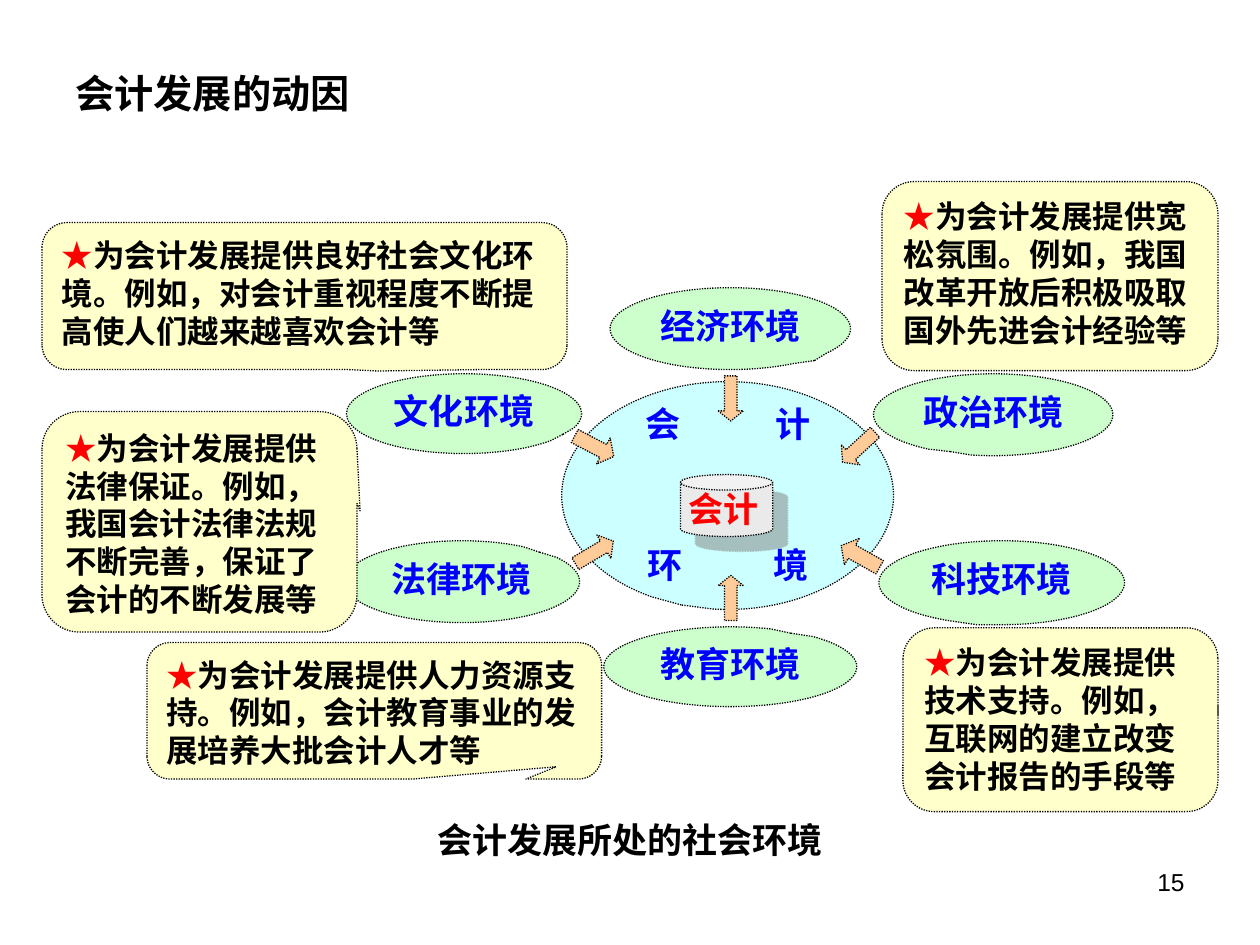
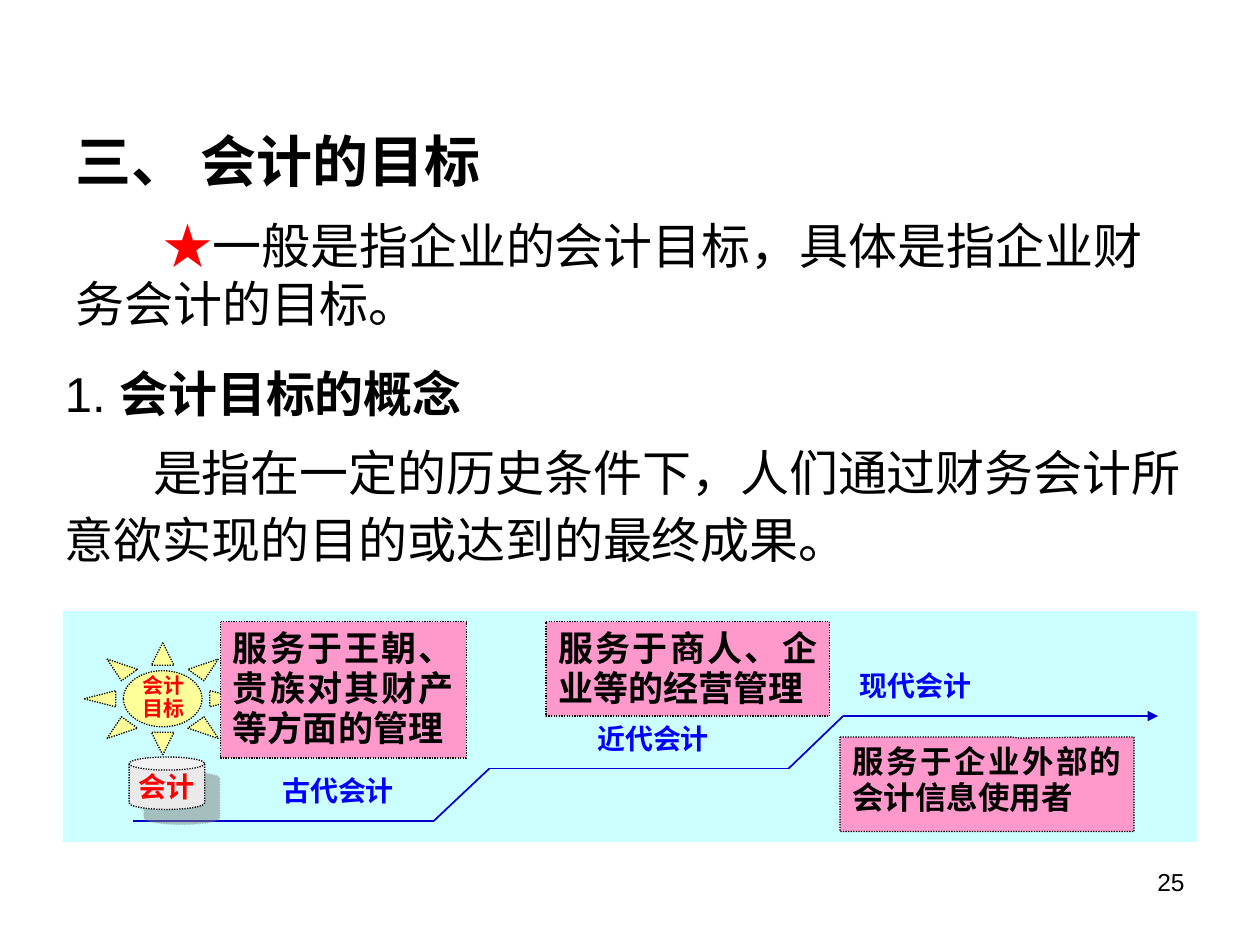
from itertools import pairwise

from lxml.etree import SubElement
from pptx import Presentation
from pptx.dml.color import RGBColor
from pptx.enum.dml import MSO_LINE
from pptx.enum.shapes import MSO_CONNECTOR, MSO_SHAPE
from pptx.enum.text import MSO_ANCHOR, PP_ALIGN
from pptx.oxml.ns import qn
from pptx.util import Inches, Pt

WIDTH, HEIGHT = Inches(10), Inches(7.5)
COLUMNS, ROWS = 120, 90
COLORS = {
    "black": "000000", "white": "FFFFFF", "red": "FF0000", "blue": "0000FF",
    "step": "0000CC", "cyan": "CCFFFF", "green": "CCFFCC", "cream": "FFFFCC",
    "yellow": "FFFF99", "orange": "FFCC99", "pink": "FF99CC",
    "gray": "EAEAEA", "shadow": "808080",
}
SANS, SERIF, CHINESE = "Arial", "Times New Roman", "Noto Sans CJK SC"
LINE_HEIGHT = 1.2
TIGHT = 0.96


def color(name):
    return RGBColor.from_string(COLORS[name])


def column(count):
    return round(WIDTH * count / COLUMNS)


def row(count):
    return round(HEIGHT * count / ROWS)


def place(box):
    left, top, width, height = box
    return column(left), row(top), column(width), row(height)


def add_run(paragraph, text, size, name="black", font=SANS, bold=False):
    run = paragraph.add_run()
    run.text = text
    run.font.size = Pt(size)
    run.font.name = font
    run.font.bold = bold
    run.font.color.rgb = color(name)


def format_paragraph(paragraph, size, align=PP_ALIGN.LEFT, spacing=1, before=0):
    paragraph.alignment = align
    paragraph.line_spacing = Pt(round(size * LINE_HEIGHT * spacing, 1))
    paragraph.space_before = Pt(before)


def indent_first_line(paragraph, columns):
    paragraph._p.get_or_add_pPr().set("indent", str(column(columns)))


def prepare_frame(shape, wrap=True):
    frame = shape.text_frame
    frame.word_wrap = wrap
    frame.vertical_anchor = MSO_ANCHOR.TOP
    return frame


def add_text_box(slide, box):
    return prepare_frame(slide.shapes.add_textbox(*place(box)))


def add_figure(slide, kind, box, fill=None, adjustments=(), dotted=True):
    shape = slide.shapes.add_shape(kind, *place(box))
    shape.shadow.inherit = False
    for index, value in enumerate(adjustments):
        shape.adjustments[index] = value
    if fill:
        shape.fill.solid()
        shape.fill.fore_color.rgb = color(fill)
    else:
        shape.fill.background()
    if fill and dotted:
        shape.line.color.rgb = color("black")
        shape.line.width = Pt(0.75)
        shape.line.dash_style = MSO_LINE.ROUND_DOT
    else:
        shape.line.fill.background()
    return shape


def write_label(shape, text, size, name, font, align=PP_ALIGN.CENTER, spacing=1, wrap=True):
    paragraph = prepare_frame(shape, wrap).paragraphs[0]
    format_paragraph(paragraph, size, align, spacing)
    add_run(paragraph, text, size, name, font, bold=True)


def add_plain_label(slide, box, text, size, name, font, align=PP_ALIGN.JUSTIFY, spacing=1):
    shape = add_figure(slide, MSO_SHAPE.RECTANGULAR_CALLOUT, box, adjustments=(0, 0))
    write_label(shape, text, size, name, font, align, spacing)


def add_environment(slide, box, text, tail=(0, 0), fill="green"):
    shape = add_figure(slide, MSO_SHAPE.OVAL_CALLOUT, box, fill, tail)
    write_label(shape, text, 20, "blue", SERIF, spacing=TIGHT, wrap=False)


def add_explanation(slide, box, text, tail):
    shape = add_figure(slide, MSO_SHAPE.ROUNDED_RECTANGULAR_CALLOUT, box, "cream", (*tail, 0.17))
    paragraph = prepare_frame(shape).paragraphs[0]
    format_paragraph(paragraph, 18)
    add_run(paragraph, "★", 18, "red")
    add_run(paragraph, text, 18, bold=True)


def add_accounting_can(slide, can_box, label_box, size):
    can = add_figure(slide, MSO_SHAPE.CAN, can_box, "gray", (0.25,))
    effects = can._element.spPr.find(qn("a:effectLst"))
    shadow = SubElement(effects, qn("a:outerShdw"), blurRad="0", dist=str(Pt(12.1)),
                        dir="2700000", algn="ctr", rotWithShape="0")
    tint = SubElement(shadow, qn("a:srgbClr"), val=COLORS["shadow"])
    SubElement(tint, qn("a:alpha"), val="50000")
    add_plain_label(slide, label_box, "会计", size, "red", CHINESE)


def add_steps(slide, points):
    for start, end in pairwise(points):
        line = slide.shapes.add_connector(
            MSO_CONNECTOR.STRAIGHT, column(start[0]), row(start[1]), column(end[0]), row(end[1]))
        line.line.color.rgb = color("step")
        line.line.width = Pt(1)
        properties = line._element.spPr
        if end == points[-1]:
            SubElement(properties.find(qn("a:ln")), qn("a:tailEnd"), type="triangle")
        SubElement(properties, qn("a:effectLst"))


def add_page_number(slide, number):
    paragraph = add_text_box(slide, (86, 82, 28, 6.2)).paragraphs[0]
    format_paragraph(paragraph, 14, PP_ALIGN.RIGHT)
    add_run(paragraph, number, 14)


def add_slide(presentation):
    slide = presentation.slides.add_slide(presentation.slide_layouts[6])
    slide.background.fill.solid()
    slide.background.fill.fore_color.rgb = color("white")
    return slide


def build_causes(presentation):
    slide = add_slide(presentation)
    title = add_text_box(slide, (6, 6, 108, 11.3)).paragraphs[0]
    format_paragraph(title, 22.4)
    add_run(title, "会计发展的动因", 22.4, bold=True)

    add_figure(slide, MSO_SHAPE.OVAL_CALLOUT, (53.5, 36.35, 31.6, 21.7), "cyan", (-0.14, 0.48))
    for left, top, text in ((58.3, 36.7, "会"), (70.65, 36.7, "计"),
                            (58.5, 50.05, "环"), (70.45, 50.05, "境")):
        add_environment(slide, (left, top, 9.7, 8.6), text, fill=None)
    add_plain_label(slide, (38.6, 77.4, 42.8, 5.8), "会计发展所处的社会环境",
                    20, "black", CHINESE, PP_ALIGN.CENTER)
    add_accounting_can(slide, (64.8, 45.2, 8.8, 5.9), (64.4, 45.8, 11, 6.4), 20)

    for left, top, width, height, angle in (
            (68.4, 35.8, 2.4, 4.3, 0), (55.2, 40.4, 2.8, 4.2, 297.7),
            (80.5, 40.5, 2.6, 4.2, 47.3), (68.4, 54.8, 2.4, 4.3, 180),
            (80.5, 50.9, 2.9, 4.2, 119.4), (55.3, 50.5, 2.6, 4.2, 239.2)):
        arrow = add_figure(slide, MSO_SHAPE.DOWN_ARROW, (left, top, width, height),
                           "orange", (0.5, 0.4))
        arrow.rotation = angle

    for box, text, tail in (
            ((58.1, 27.4, 22.9, 7.8), "经济环境", (0.35, 0.39)),
            ((83.2, 35.6, 22.8, 7.8), "政治环境", (-0.18, 0.45)),
            ((83.7, 51.5, 23.4, 8), "科技环境", (-0.1, 0.5)),
            ((57.5, 59.7, 24.1, 7.6), "教育环境", (0.24, -0.42)),
            ((32.8, 51.5, 22.4, 7.8), "法律环境", (0.33, -0.36)),
            ((33, 35.6, 22.4, 7.6), "文化环境", (0.42, 0.26))):
        add_environment(slide, box, text, tail)

    for box, text, tail in (
            ((84, 17.3, 32, 18), "为会计发展提供宽松氛围。例如，我国改革开放后积极吸取国外先进会计经验等",
             (0.16, 0.5)),
            ((86, 59.8, 30, 17.5), "为会计发展提供技术支持。例如，互联网的建立改变会计报告的手段等",
             (0.5, -0.02)),
            ((14, 61.2, 43.3, 13), "为会计发展提供人力资源支持。例如，会计教育事业的发展培养大批会计人才等",
             (0.4, 0.41)),
            ((4, 39.2, 30, 21), "为会计发展提供法律保证。例如，我国会计法律法规不断完善，保证了会计的不断发展等",
             (0.51, -0.05)),
            ((4, 21.2, 50, 14), "为会计发展提供良好社会文化环境。例如，对会计重视程度不断提高使人们越来越喜欢会计等",
             (0.14, 0.51))):
        add_explanation(slide, box, text, tail)
    add_page_number(slide, "15")


def build_goals(presentation):
    slide = add_slide(presentation)
    body = add_text_box(slide, (6, 11.5, 108, 45))
    heading = body.paragraphs[0]
    format_paragraph(heading, 32)
    add_run(heading, "三、 会计的目标", 32, bold=True)
    scope = body.add_paragraph()
    format_paragraph(scope, 28, before=12)
    indent_first_line(scope, 8.4)
    add_run(scope, "★", 28, "red", CHINESE)
    add_run(scope, "一般是指企业的会计目标，具体是指企业财务会计的目标。", 28, font=CHINESE)

    concept = add_text_box(slide, (5, 34, 109, 22))
    topic = concept.paragraphs[0]
    format_paragraph(topic, 28)
    add_run(topic, "1. ", 28)
    add_run(topic, "会计目标的概念", 28, bold=True)
    definition = concept.add_paragraph()
    format_paragraph(definition, 32, before=7)
    indent_first_line(definition, 8.4)
    add_run(definition, "是指在一定的历史条件下，人们通过财务会计所意欲实现的目的或达到的最终成果。",
            28, font=CHINESE)

    add_figure(slide, MSO_SHAPE.RECTANGLE, (6, 58.2, 108, 22), "cyan", dotted=False)
    add_steps(slide, ((12.7, 78.2), (41.3, 78.2), (46.6, 73.2),
                      (75.1, 73.2), (80.3, 68.2), (110.3, 68.2)))
    for left, top, text in ((25.7, 73.1, "古代会计"), (55.7, 68.1, "近代会计"),
                            (80.7, 63.1, "现代会计")):
        add_plain_label(slide, (left, top, 13.3, 5), text, 16, "blue", SERIF)
    add_accounting_can(slide, (12.3, 72.1, 7.2, 5), (12, 72.7, 9, 5.5), 16)
    add_figure(slide, MSO_SHAPE.SUN, (8, 61.2, 15, 10.7), "yellow", (0.25,))
    add_plain_label(slide, (11.8, 63.7, 7.5, 6), "会计目标", 12, "red", SERIF,
                    PP_ALIGN.CENTER, 0.9)

    for box, text, size, font, tail in (
            ((21, 59.2, 23.4, 13), "服务于王朝、贵族对其财产等方面的管理", 20, CHINESE, (0.27, -0.5)),
            ((52, 59.2, 27, 9), "服务于商人、企业等的经营管理", 20, CHINESE, (0.18, 0.5)),
            ((80, 70.2, 28, 9), "服务于企业外部的会计信息使用者", 18, SANS, (0.11, -0.49))):
        shape = add_figure(slide, MSO_SHAPE.RECTANGULAR_CALLOUT, box, "pink", tail)
        write_label(shape, text, size, "black", font, PP_ALIGN.JUSTIFY, TIGHT)
    add_page_number(slide, "25")


def main():
    presentation = Presentation()
    presentation.slide_width = WIDTH
    presentation.slide_height = HEIGHT
    build_causes(presentation)
    build_goals(presentation)
    presentation.save("out.pptx")


if __name__ == "__main__":
    main()
